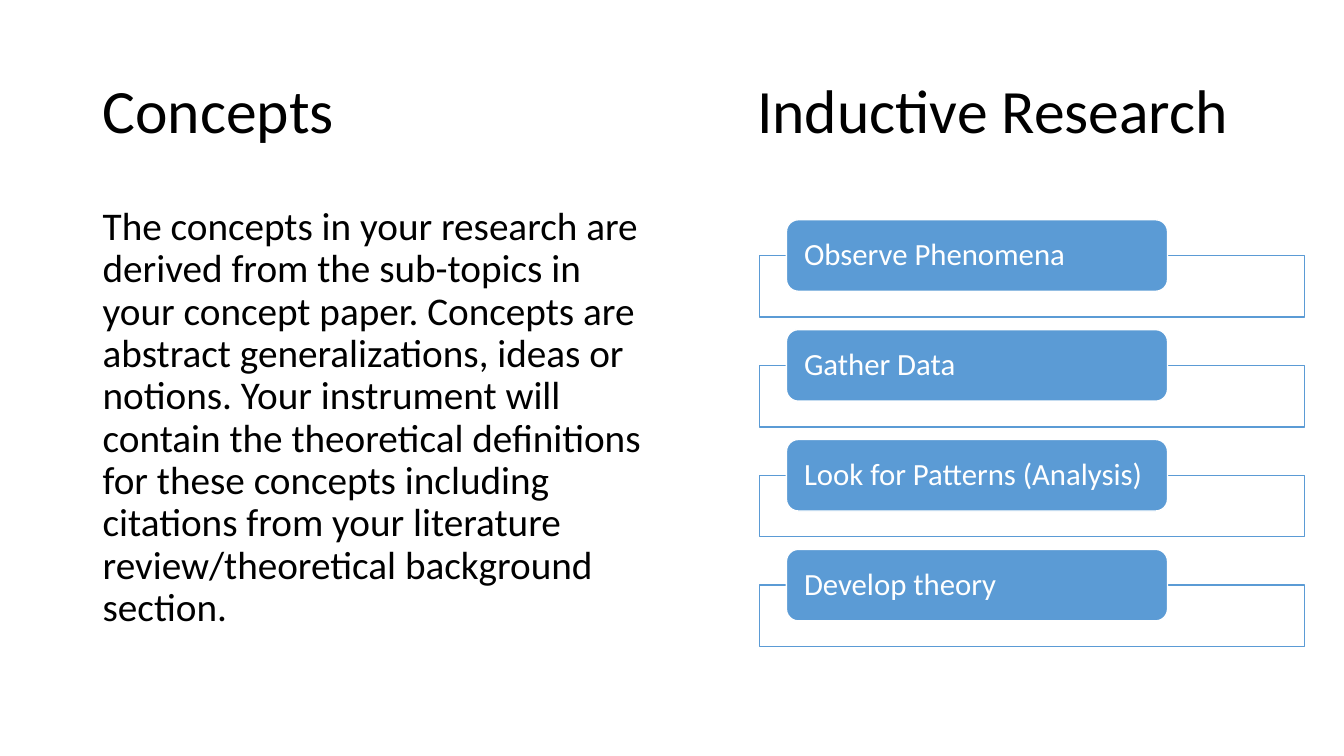
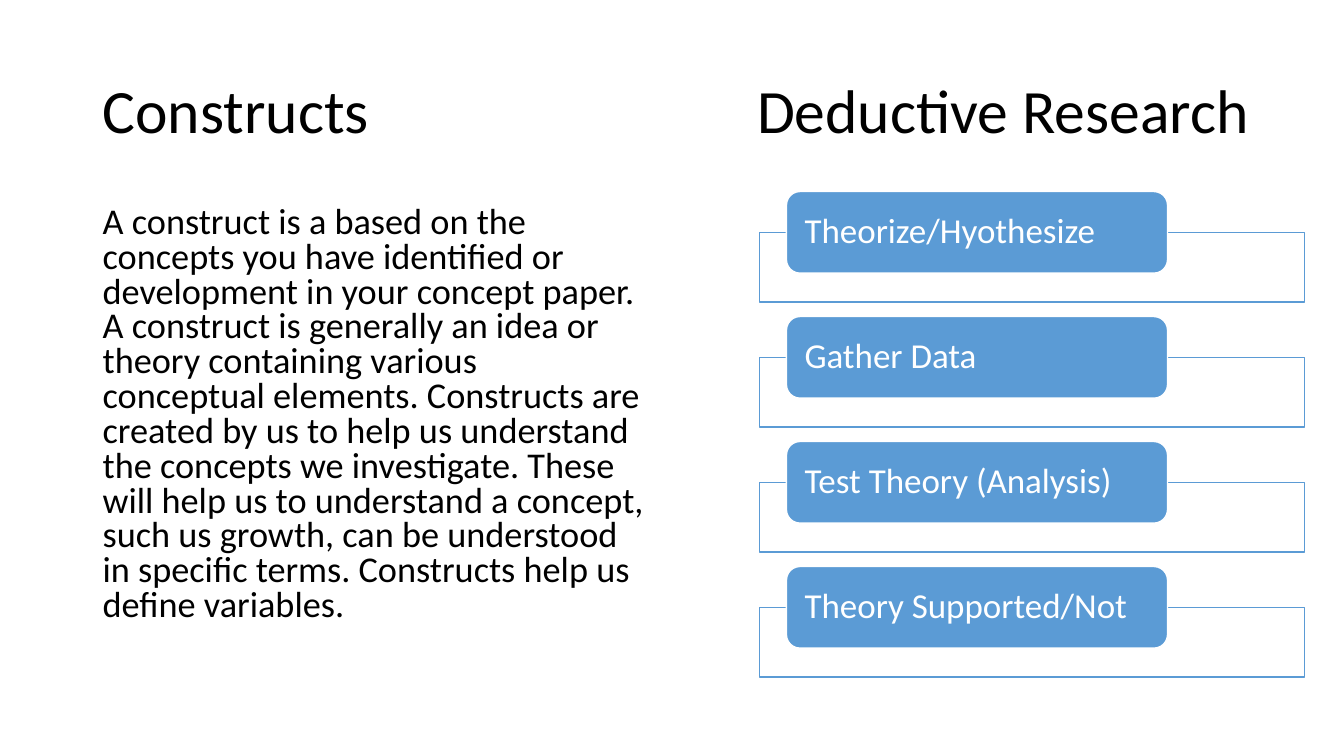
from dataclasses import dataclass

from pptx import Presentation
from pptx.dml.color import RGBColor
from pptx.enum.shapes import MSO_SHAPE as Shape
from pptx.enum.text import MSO_ANCHOR as Anchor, PP_ALIGN as Align
from pptx.util import Inches, Pt


@dataclass(frozen=True)
class Theme:
    font: str = "Calibri"
    text: RGBColor = RGBColor(0x00, 0x00, 0x00)
    accent: RGBColor = RGBColor(0x5B, 0x9B, 0xD5)
    paper: RGBColor = RGBColor(0xFF, 0xFF, 0xFF)
    title_size: float = 44
    line_width: float = 1


@dataclass(frozen=True)
class Body:
    text: str
    width: float
    size: float
    line_spacing: float


@dataclass(frozen=True)
class Steps:
    labels: tuple
    top: float  # top edge of the first label
    pitch: float
    label_height: float
    frame_height: float
    size: float


THEME = Theme()
LEFT_COLUMN, RIGHT_COLUMN = 0.92, 7.41
FRAME_LEFT, FRAME_WIDTH = 7.53, 5.41
LABEL_LEFT, LABEL_WIDTH = 7.8, 3.78


def write(shape, text, size, color, anchor, line_spacing=0.9, space_before=0):
    """Put one left-aligned paragraph into a shape."""
    frame = shape.text_frame
    frame.word_wrap = True
    frame.vertical_anchor = anchor
    paragraph = frame.paragraphs[0]
    paragraph.alignment = Align.LEFT
    paragraph.line_spacing = line_spacing
    paragraph.space_before = Pt(space_before)
    run = paragraph.add_run()
    run.text = text
    run.font.name = THEME.font
    run.font.size = Pt(size)
    run.font.color.rgb = color


def add_title(slide, text, left, width):
    box = slide.shapes.add_textbox(Inches(left), Inches(0.4), Inches(width), Inches(1.45))
    write(box, text, THEME.title_size, THEME.text, Anchor.MIDDLE)


def add_body(slide, body):
    box = slide.shapes.add_textbox(
        Inches(LEFT_COLUMN), Inches(2), Inches(body.width), Inches(4.76))
    write(box, body.text, body.size, THEME.text, Anchor.TOP, body.line_spacing, 10)


def add_panel(slide, kind, left, top, width, height, fill, line):
    shape = slide.shapes.add_shape(
        kind, Inches(left), Inches(top), Inches(width), Inches(height))
    shape.shadow.inherit = False
    shape.fill.solid()
    shape.fill.fore_color.rgb = fill
    shape.line.color.rgb = line
    shape.line.width = Pt(THEME.line_width)
    return shape


def add_steps(slide, steps):
    """Stack outlined frames, each with a label centred on its top edge."""
    for index, text in enumerate(steps.labels):
        top = steps.top + index * steps.pitch
        add_panel(slide, Shape.RECTANGLE, FRAME_LEFT, top + steps.label_height / 2,
                  FRAME_WIDTH, steps.frame_height, THEME.paper, THEME.accent)
        label = add_panel(slide, Shape.ROUNDED_RECTANGLE, LABEL_LEFT, top,
                          LABEL_WIDTH, steps.label_height, THEME.accent, THEME.paper)
        frame = label.text_frame
        frame.margin_left = frame.margin_right = Inches(0.14)
        frame.margin_top = frame.margin_bottom = 0
        write(label, text, steps.size, THEME.paper, Anchor.MIDDLE)


def add_topic_slide(presentation, topic, body, method, steps):
    slide = presentation.slides.add_slide(presentation.slide_layouts[6])
    add_title(slide, topic, LEFT_COLUMN, 5.65)
    add_title(slide, method, RIGHT_COLUMN, 5.12)
    add_body(slide, body)
    add_steps(slide, steps)


def main():
    presentation = Presentation()
    presentation.slide_width = Inches(13.33)
    presentation.slide_height = Inches(7.5)

    # Concepts and inductive research
    add_topic_slide(
        presentation,
        "Concepts",
        Body("The concepts in your research are derived from the sub-topics in your "
             "concept paper. Concepts are abstract generalizations, ideas or notions. "
             "Your instrument will contain the theoretical definitions for these "
             "concepts including citations from your literature review/theoretical "
             "background section.",
             width=5.65, size=28, line_spacing=0.9),
        "Inductive Research",
        Steps(("Observe Phenomena", "Gather Data",
               "Look for Patterns (Analysis)", "Develop theory"),
              top=2.18, pitch=1.09, label_height=0.71, frame_height=0.61, size=22),
    )

    # Constructs and deductive research
    add_topic_slide(
        presentation,
        "Constructs",
        Body("A construct is a based on the concepts you have identified or development "
             "in your concept paper. A construct is generally an idea or theory "
             "containing various conceptual elements. Constructs are created by us to "
             "help us understand the concepts we investigate. These will help us to "
             "understand a concept, such us growth, can be understood in specific "
             "terms. Constructs help us define variables.",
             width=5.6, size=25.9, line_spacing=0.8),
        "Deductive Research",
        Steps(("Theorize/Hyothesize", "Gather Data",
               "Test Theory (Analysis)", "Theory Supported/Not"),
              top=1.9, pitch=1.24, label_height=0.81, frame_height=0.69, size=25),
    )

    presentation.save("out.pptx")


if __name__ == "__main__":
    main()
